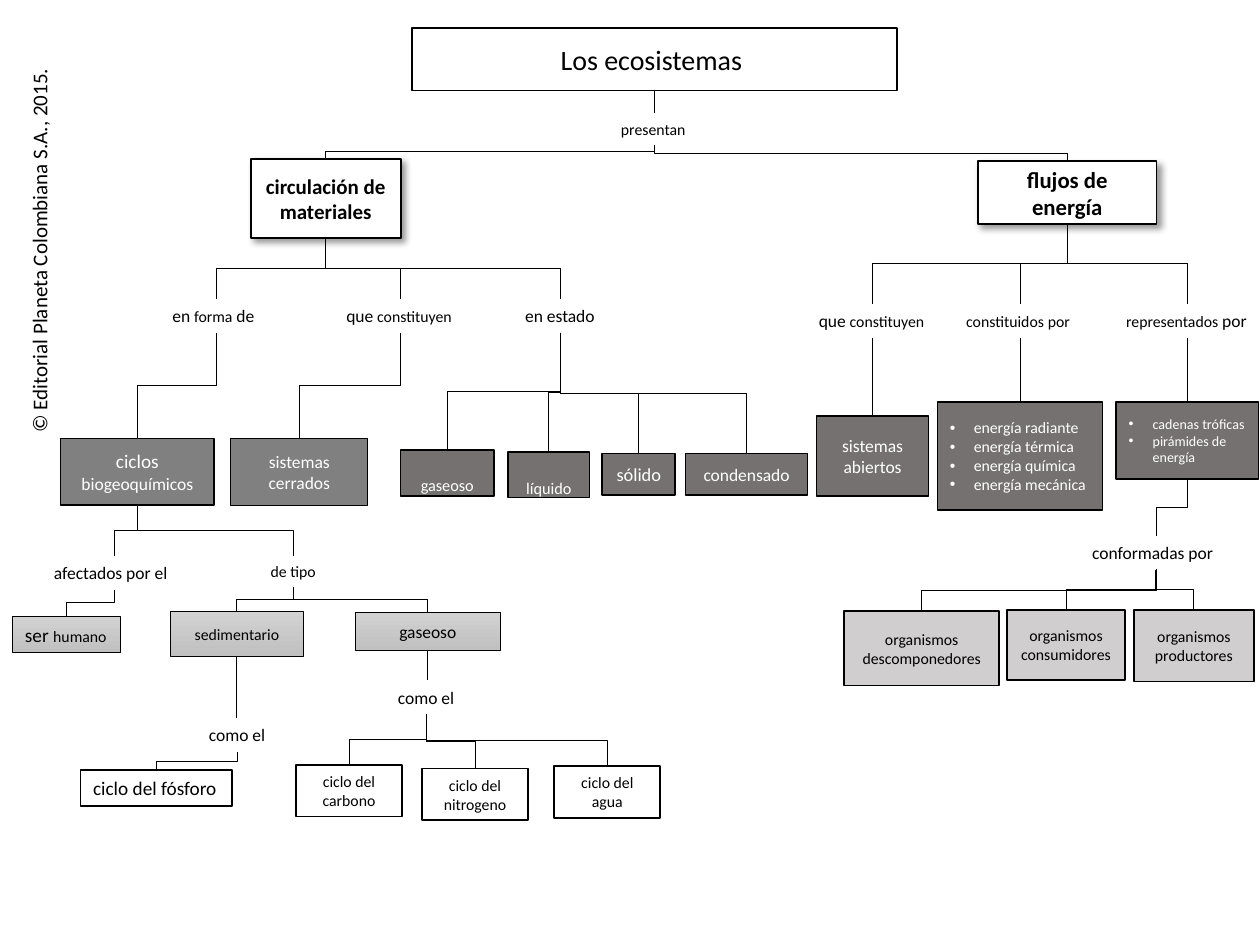
from lxml import etree
from pptx import Presentation
from pptx.dml.color import RGBColor
from pptx.enum.shapes import MSO_CONNECTOR, MSO_SHAPE
from pptx.enum.text import MSO_ANCHOR, MSO_AUTO_SIZE, PP_ALIGN
from pptx.oxml.ns import qn
from pptx.util import Inches, Pt

RECTANGLE = MSO_SHAPE.RECTANGLE
STRAIGHT, ELBOW = MSO_CONNECTOR.STRAIGHT, MSO_CONNECTOR.ELBOW
LEFT, CENTER = PP_ALIGN.LEFT, PP_ALIGN.CENTER
MIDDLE, TOP = MSO_ANCHOR.MIDDLE, MSO_ANCHOR.TOP
FIT_SHAPE = MSO_AUTO_SIZE.SHAPE_TO_FIT_TEXT
BLACK, WHITE = RGBColor(0, 0, 0), RGBColor(255, 255, 255)
GREY, DARK = RGBColor(0x80, 0x80, 0x80), RGBColor(0x76, 0x71, 0x71)
PALE = RGBColor(0xD0, 0xCE, 0xCE)
FADE_TOP, FADE_END = RGBColor(0xD2, 0xD2, 0xD2), RGBColor(0xC0, 0xC0, 0xC0)

FONT = "Calibri"
INDENT = 0.19
STRAIGHT_LIMIT = 0.03
COPYRIGHT = ("© Editorial Planeta Colombiana S.A., 2015.", 12)
COPYRIGHT_AREA = (-1.25, 1.82, 3.12, 0.3)

BOX = {"fill": WHITE, "ink": BLACK, "line": 1, "align": CENTER, "wrap": True}
FADE = {**BOX, "fill": None, "fade": (FADE_TOP, FADE_END), "line": 0.5}
STYLES = {
    "label": {**BOX, "fill": None, "align": LEFT, "wrap": False},
    "white": BOX,
    "topic": {**BOX, "bold": True, "shadow": True},
    "grey": {**BOX, "fill": GREY, "ink": WHITE},
    "thin grey": {**BOX, "fill": GREY, "ink": WHITE, "line": 0.5},
    "dark": {**BOX, "fill": DARK, "ink": WHITE},
    "raised": {**BOX, "fill": DARK, "ink": WHITE, "baseline": "30000"},
    "list": {**BOX, "fill": DARK, "ink": WHITE, "align": LEFT, "bullets": True},
    "pale": {**BOX, "fill": PALE},
    "fade": FADE,
    "fade line": {**FADE, "align": LEFT, "wrap": False},
    "white line": {**BOX, "align": LEFT, "wrap": False},
}

CONCEPTS = {
    "ecosistemas": (None, "white", (3.27, 0.22, 3.85, 0.5), [("Los ecosistemas ", 16)]),
    "presentan": ("ecosistemas", "label", (4.83, 0.9, 0.72, 0.25), [("presentan", 9)]),
    "materiales": ("presentan", "topic", (1.99, 1.26, 1.19, 0.63),
                   [("circulación de materiales", 12)]),
    "energía": ("presentan", "topic", (7.76, 1.28, 1.42, 0.5), [("flujos de energía", 13)]),
    "forma": ("materiales", "label", (1.27, 2.37, 0.9, 0.27),
              [("en ", 10), ("forma", 9), (" de", 10)]),
    "cierre": ("materiales", "label", (2.65, 2.37, 1.05, 0.27),
               [("que ", 10), ("constituyen", 9)]),
    "estado": ("materiales", "label", (4.07, 2.37, 0.76, 0.27), [("en estado", 10)]),
    "apertura": ("energía", "label", (6.4, 2.41, 1.05, 0.27),
                 [("que ", 10), ("constituyen", 9)]),
    "constituidos": ("energía", "label", (7.57, 2.41, 1.06, 0.27),
                     [("constituidos", 9), (" ", 10), ("por", 9)]),
    "representados": ("energía", "label", (8.84, 2.41, 1.17, 0.27),
                      [("representados", 9), (" por", 10)]),
    "ciclos": ("forma", "grey", (0.48, 3.48, 1.22, 0.53),
               [("ciclos ", 11), ("biogeoquímicos", 10)]),
    "cerrados": ("cierre", "thin grey", (1.83, 3.48, 1.09, 0.53), [("sistemas cerrados", 10)]),
    "estado gaseoso": ("estado", "raised", (3.18, 3.57, 0.74, 0.37), [("gaseoso", 16)]),
    "líquido": ("estado", "raised", (4.03, 3.59, 0.65, 0.36), [("líquido", 16)]),
    "sólido": ("estado", "dark", (4.78, 3.6, 0.58, 0.33), [("sólido", 10.5)]),
    "condensado": ("estado", "dark", (5.44, 3.6, 0.97, 0.33), [("condensado", 10)]),
    "abiertos": ("apertura", "dark", (6.48, 3.3, 0.89, 0.64), [("sistemas abiertos", 10)]),
    "energías": ("constituidos", "list", (7.44, 3.19, 1.31, 0.86),
                 [("energía radiante\nenergía térmica\nenergía química\nenergía mecánica", 9)]),
    "cadenas": ("representados", "list", (8.86, 3.19, 1.13, 0.61),
                [("cadenas tróficas\npirámides de energía", 8)]),
    "conformadas": ("cadenas", "label", (8.57, 4.25, 1.21, 0.27), [("conformadas por", 10)]),
    "descomponedores": ("conformadas", "pale", (6.7, 4.85, 1.23, 0.59),
                        [("organismos descomponedores", 9)]),
    "consumidores": ("conformadas", "pale", (7.99, 4.84, 0.94, 0.56),
                     [("organismos consumidores", 9)]),
    "productores": ("conformadas", "pale", (9, 4.84, 0.95, 0.57),
                    [("organismos productores", 9)]),
    "afectados": ("ciclos", "label", (0.33, 4.41, 1.15, 0.27), [("afectados por el", 10)]),
    "tipo": ("ciclos", "label", (2.05, 4.41, 0.56, 0.25), [("de tipo", 9)]),
    "humano": ("afectados", "fade line", (0.1, 4.89, 0.86, 0.29), [("ser ", 11), ("humano", 9)]),
    "sedimentario": ("tipo", "fade", (1.35, 4.85, 1.06, 0.36), [("sedimentario", 9)]),
    "tipo gaseoso": ("tipo", "fade", (2.82, 4.86, 1.15, 0.3), [("gaseoso", 10)]),
    "como fósforo": ("sedimentario", "label", (1.56, 5.7, 0.65, 0.27), [("como el", 10)]),
    "como gases": ("tipo gaseoso", "label", (3.06, 5.4, 0.65, 0.27), [("como el", 10)]),
    "fósforo": ("como fósforo", "white line", (0.64, 6.11, 1.2, 0.29),
                [("ciclo del fósforo", 11)]),
    "carbono": ("como gases", "white", (2.35, 6.07, 0.84, 0.41), [("ciclo del carbono", 9)]),
    "nitrógeno": ("como gases", "white", (3.35, 6.1, 0.84, 0.41), [("ciclo del nitrogeno", 9)]),
    "agua": ("como gases", "white", (4.4, 6.08, 0.84, 0.41), [("ciclo del agua", 9)]),
}
TOP_INSETS = {"estado gaseoso": 0.24, "líquido": 0.27}
HEAVY_LINKS = {"energías": 0.75, "productores": 0.75}


def write(frame, runs, style):
    frame.word_wrap = style["wrap"]
    paragraph = frame.paragraphs[0]
    for text, size in runs:
        for index, part in enumerate(text.split("\n")):
            if index:
                paragraph = frame.add_paragraph()
            paragraph.alignment = style["align"]
            if style.get("bullets"):
                properties = paragraph._p.get_or_add_pPr()
                properties.set("marL", str(Inches(INDENT)))
                properties.set("indent", str(-Inches(INDENT)))
                etree.SubElement(properties, qn("a:buFont")).set("typeface", "Arial")
                etree.SubElement(properties, qn("a:buChar")).set("char", "•")
            run = paragraph.add_run()
            run.text = part
            formats = {"name": FONT, "size": Pt(size), "bold": style.get("bold", False)}
            for attribute, value in formats.items():
                setattr(run.font, attribute, value)
            run.font.color.rgb = style["ink"]
            if "baseline" in style:
                run._r.get_or_add_rPr().set("baseline", style["baseline"])


def add_label(slide, area, runs):
    label = slide.shapes.add_textbox(*map(Inches, area))
    label.text_frame.auto_size = FIT_SHAPE
    label.text_frame.vertical_anchor = TOP
    write(label.text_frame, runs, STYLES["label"])
    return label


def add_box(slide, area, runs, style, top_inset):
    box = slide.shapes.add_shape(RECTANGLE, *map(Inches, area))
    box.shadow.inherit = False
    if "fade" in style:
        box.fill.gradient()
        box.fill.gradient_angle = 270
        for stop, color, position in zip(box.fill.gradient_stops, style["fade"], (0, 1)):
            stop.color.rgb = color
            stop.position = position
    else:
        box.fill.solid()
        box.fill.fore_color.rgb = style["fill"]
    box.line.color.rgb = BLACK
    box.line.width = Pt(style["line"])
    if style.get("shadow"):
        effects = box._element.spPr.find(qn("a:effectLst"))
        shadow = etree.SubElement(effects, qn("a:outerShdw"), blurRad=str(Pt(4)),
                                  dist=str(Pt(3)), dir="2700000", algn="tl", rotWithShape="0")
        tint = etree.SubElement(shadow, qn("a:srgbClr"), val=str(BLACK))
        etree.SubElement(tint, qn("a:alpha"), val="40000")
    box.text_frame.vertical_anchor = MIDDLE
    if top_inset:
        box.text_frame.margin_top = Inches(top_inset)
        box.text_frame.margin_bottom = 0
    write(box.text_frame, runs, style)


def add_link(slide, parent_area, child_area, width):
    left, top, wide, high = parent_area
    x1, y1 = left + wide / 2, top + high
    x2, y2 = child_area[0] + child_area[2] / 2, child_area[1]
    if abs(x2 - x1) < STRAIGHT_LIMIT:
        link = slide.shapes.add_connector(STRAIGHT, *map(Inches, (x1, y1, x1, y2)))
    else:
        half_run, half_rise = (y2 - y1) / 2, abs(x2 - x1) / 2
        middle_x, middle_y = (x1 + x2) / 2, (y1 + y2) / 2
        ends = [middle_x - half_run, middle_x + half_run]
        rightward = x2 > x1
        if rightward:
            ends.reverse()
        link = slide.shapes.add_connector(
            ELBOW, Inches(ends[0]), Inches(middle_y - half_rise),
            Inches(ends[1]), Inches(middle_y + half_rise))
        turn = 270 if rightward else 90
        link._element.spPr.find(qn("a:xfrm")).set("rot", str(turn * 60000))
    link.line.color.rgb = BLACK
    link.line.width = Pt(width)
    etree.SubElement(link._element.spPr, qn("a:effectLst"))


def main():
    deck = Presentation()
    deck.slide_width, deck.slide_height = Inches(10), Inches(7.5)
    slide = deck.slides.add_slide(deck.slide_layouts[6])
    add_label(slide, COPYRIGHT_AREA, [COPYRIGHT]).rotation = 270
    for concept, (parent, kind, area, runs) in CONCEPTS.items():
        if parent:
            add_link(slide, CONCEPTS[parent][2], area, HEAVY_LINKS.get(concept, 0.5))
        if kind == "label":
            add_label(slide, area, runs)
        else:
            add_box(slide, area, runs, STYLES[kind], TOP_INSETS.get(concept))
    deck.save("out.pptx")


if __name__ == "__main__":
    main()
